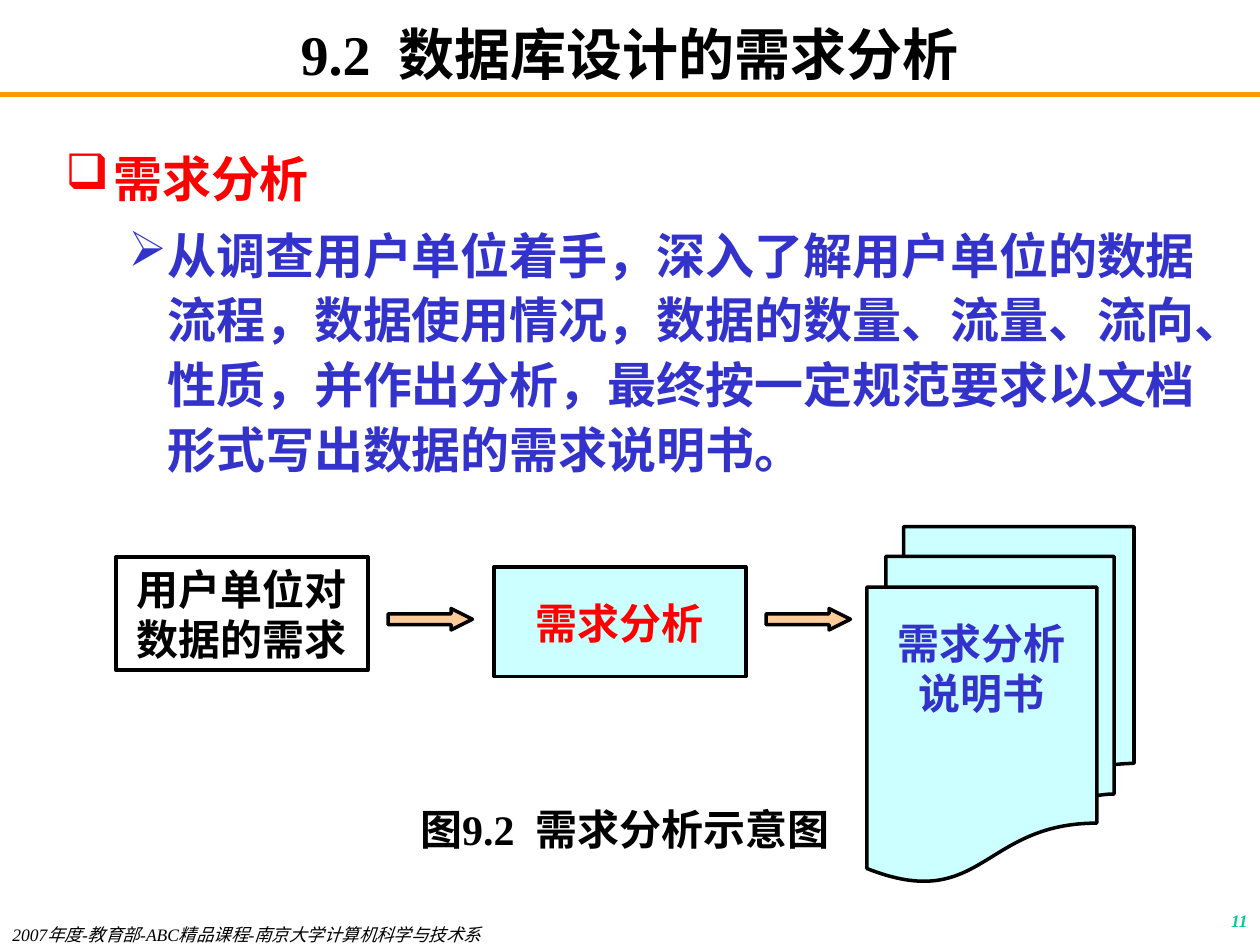
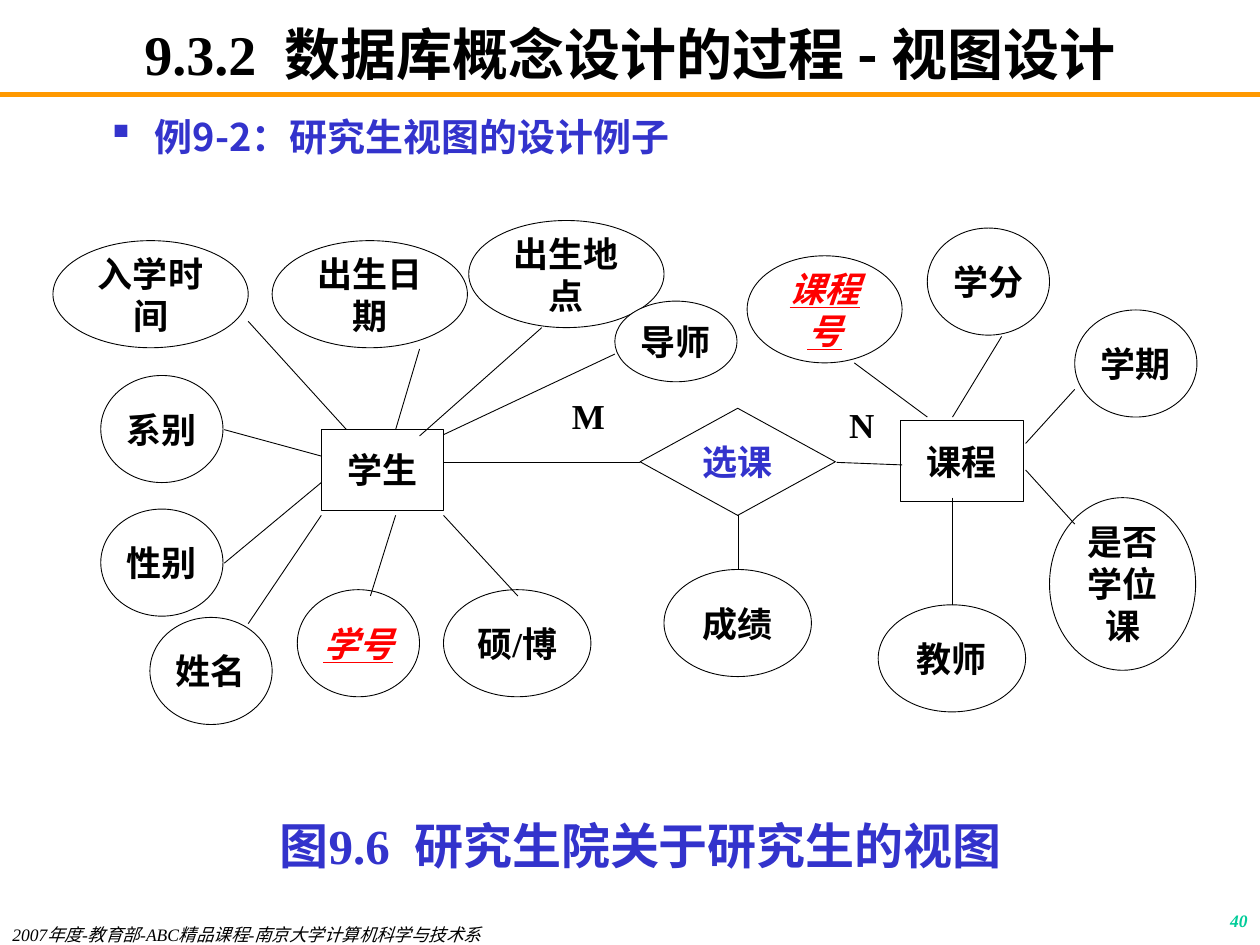
from lxml import etree
from pptx import Presentation
from pptx import util as u
from pptx.dml.color import RGBColor
from pptx.enum import shapes as kinds, text as t
from pptx.oxml.ns import qn

LATIN, CHINESE = "Times New Roman", "Noto Sans CJK SC"
BLACK, WHITE, RED, BLUE = "000000", "FFFFFF", "FF0000", "3333CC"
ORANGE, GREEN, CYAN, PEACH = "FF9900", "00CC99", "CCFFFF", "FFCC99"
CENTER, RIGHT, LEFT = t.PP_ALIGN.CENTER, t.PP_ALIGN.RIGHT, t.PP_ALIGN.LEFT
SHAPE = kinds.MSO_SHAPE


def add_box(shapes, kind, box, fill=WHITE, width=2, insets=(0.1, 0.05), middle=False):
    """Add a preset shape, or a plain text box when kind is None."""
    box = [u.Inches(length) for length in box]
    if kind is None:
        shape = shapes.add_textbox(*box)
    else:
        shape = shapes.add_shape(kind, *box)
        shape.shadow.inherit = False
        shape.fill.solid()
        shape.fill.fore_color.rgb = RGBColor.from_string(fill)
        shape.line.color.rgb = RGBColor.from_string(BLACK)
        shape.line.width = u.Pt(width)
    frame = shape.text_frame
    frame.word_wrap = True
    frame.margin_left = frame.margin_right = u.Inches(insets[0])
    frame.margin_top = frame.margin_bottom = u.Inches(insets[1])
    frame.vertical_anchor = t.MSO_ANCHOR.MIDDLE if middle else t.MSO_ANCHOR.TOP
    return shape


def write(paragraph, runs, size, color=BLACK, align=CENTER, bold=True, italic=False, underline=False):
    """Fill a paragraph with (text, font) runs that share one style."""
    paragraph.alignment = align
    for words, font_name in runs:
        run = paragraph.add_run()
        run.text = words
        font = run.font
        font.name, font.size = font_name, u.Pt(size)
        font.bold, font.italic, font.underline = bold, italic, underline
        font.color.rgb = RGBColor.from_string(color)
        run.font._element.find(qn("a:latin")).addnext(
            etree.Element(qn("a:ea"), typeface=CHINESE))


presentation = Presentation()
presentation.slide_width, presentation.slide_height = u.Inches(10), u.Inches(7.5)

# Shared title, rule and footers
lines = []  # (shapes, colour, width, ends)
slides = []
for number, title, page in [
    ("9.2  ", "数据库设计的需求分析", "11"),
    ("9.3.2  ", "数据库概念设计的过程 - 视图设计", "40"),
]:
    slide = presentation.slides.add_slide(presentation.slide_layouts[6])
    slides.append(slide)
    lines.append((slide.shapes, ORANGE, 3, (0, 0.75, 10, 0.75)))
    heading = add_box(slide.shapes, None, (0.75, 0.17, 8.5, 0.5), insets=(0.1, 0), middle=True)
    write(heading.text_frame.paragraphs[0], [(number, LATIN), (title, CHINESE)], 32)
    page_box = add_box(slide.shapes, None, (7.92, 7.17, 2.08, 0.33))
    write(page_box.text_frame.paragraphs[0], [(page, LATIN)], 10, GREEN, RIGHT, italic=True)
    footer = add_box(slide.shapes, None, (0, 7.33, 5.5, 0.17), insets=(0.1, 0))
    write(footer.text_frame.paragraphs[0],
          [("2007年度-教育部-ABC精品课程-南京大学计算机科学与技术系", LATIN)],
          10, align=LEFT, bold=False, italic=True)
analysis, view = slides

# Bulleted text of both slides
body = add_box(analysis.shapes, None, (0.42, 1.08, 9.25, 2.92)).text_frame
example = add_box(view.shapes, None, (0.75, 0.92, 8.5, 0.5)).text_frame
description = ("从调查用户单位着手，深入了解用户单位的数据流程，数据使用情况，数据的数量、流量、流向、性质，"
               "并作出分析，最终按一定规范要求以文档形式写出数据的需求说明书")
for paragraph, runs, size, color, bullet, margin, indent, spacing in [
    (body.paragraphs[0], [("需求分析", CHINESE)], 28, RED, "❑", 0.38, -0.38, 1.1),
    (body.add_paragraph(), [(description, CHINESE), ("。", LATIN)], 28, BLUE, "➢", 0.81, -0.31, 1.1),
    (example.paragraphs[0], [("例9-2：研究生视图的设计例子", CHINESE)], 21.7, BLUE, "▪", 0.38, -0.38, 0.8),
]:
    write(paragraph, runs, size, color, LEFT)
    paragraph.line_spacing = spacing
    paragraph.space_before = u.Pt(7)
    properties = paragraph._p.get_or_add_pPr()
    properties.set("marL", str(u.Inches(margin)))
    properties.set("indent", str(u.Inches(indent)))
    bullet_color = etree.SubElement(properties, qn("a:buClr"))
    etree.SubElement(bullet_color, qn("a:srgbClr"), val=color)
    etree.SubElement(properties, qn("a:buChar"), char=bullet)

# Requirements analysis flow
for kind, box, fill, inset, words, color in [
    (SHAPE.RECTANGLE, (0.92, 4.42, 2, 0.9), WHITE, 0.05, "用户单位对数据的需求", BLACK),
    (SHAPE.RECTANGLE, (3.92, 4.5, 2, 0.87), CYAN, 0.24, "需求分析", RED),
    (SHAPE.FLOWCHART_MULTIDOCUMENT, (6.88, 4.18, 2.12, 2.82), CYAN, 0.24, "需求分析说明书", BLUE),
]:
    step = add_box(analysis.shapes, kind, box, fill, insets=(0.1, inset))
    write(step.text_frame.paragraphs[0], [(words, LATIN)], 24, color)
for left in (3.08, 6.08):
    arrow = add_box(analysis.shapes, SHAPE.RIGHT_ARROW, (left, 4.83, 0.67, 0.17), PEACH)
    arrow.adjustments[0], arrow.adjustments[1] = 0.5, 1

# Figure captions
for slide, box, number, words, size, color in [
    (analysis, (0.92, 6.33, 8.08, 0.5), "图9.2  ", "需求分析示意图", 24, BLACK),
    (view, (1.17, 6.42, 7.83, 0.57), "图9.6  ", "研究生院关于研究生的视图", 28, BLUE),
]:
    caption = add_box(slide.shapes, None, box)
    write(caption.text_frame.paragraphs[0], [(number, LATIN), (words, CHINESE)], size, color)

# Entity-relationship diagram
diagram = view.shapes.add_group_shape().shapes
for kind, words, box in [
    (None, "M", (4.28, 2.98, 0.78, 0.64)),
    (None, "N", (6.55, 3.05, 0.58, 0.64)),
    (SHAPE.RECTANGLE, "学生", (2.55, 3.41, 0.97, 0.64)),
    (SHAPE.RECTANGLE, "课程", (7.15, 3.34, 0.97, 0.64)),
    (SHAPE.DIAMOND, "选课", (5.08, 3.24, 1.55, 0.85)),
    (SHAPE.OVAL, "教师", (6.97, 4.8, 1.17, 0.85)),
    (SHAPE.OVAL, "是否学位课", (8.33, 3.95, 1.16, 1.37)),
    (SHAPE.OVAL, "学期", (8.53, 2.46, 0.97, 0.85)),
    (SHAPE.OVAL, "成绩", (5.27, 4.52, 1.17, 0.85)),
    (SHAPE.OVAL, "课程号", (5.93, 2.03, 1.23, 0.85)),
    (SHAPE.OVAL, "学分", (7.36, 1.81, 0.97, 0.85)),
    (SHAPE.OVAL, "学号", (2.36, 4.68, 0.97, 0.85)),
    (SHAPE.OVAL, "硕/博", (3.52, 4.68, 1.17, 0.85)),
    (SHAPE.OVAL, "出生地点", (3.72, 1.75, 1.55, 0.85)),
    (SHAPE.OVAL, "系别", (0.8, 2.98, 0.97, 0.85)),
    (SHAPE.OVAL, "入学时间", (0.42, 1.91, 1.55, 0.85)),
    (SHAPE.OVAL, "出生日期", (2.16, 1.91, 1.55, 0.85)),
    (SHAPE.OVAL, "姓名", (1.19, 4.9, 0.97, 0.85)),
    (SHAPE.OVAL, "性别", (0.8, 4.04, 0.97, 0.85)),
    (SHAPE.OVAL, "导师", (4.88, 2.39, 0.97, 0.64)),
]:
    is_key = words in ("学号", "课程号")
    color = RED if is_key else BLUE if kind == SHAPE.DIAMOND else BLACK
    node = add_box(diagram, kind, box, width=0.5, insets=(0.06, 0.01), middle=True)
    write(node.text_frame.paragraphs[0], [(words, LATIN)], 20, color, italic=is_key, underline=is_key)

student_links = [
    (3.52, 3.67, 5.08, 3.67), (3.52, 4.09, 4.11, 4.73), (3.14, 3.41, 3.33, 2.77),
    (2.75, 3.41, 1.97, 2.55), (2.55, 3.62, 1.78, 3.41), (2.55, 3.83, 1.78, 4.47),
    (2.55, 4.09, 1.97, 4.95), (3.14, 4.09, 2.94, 4.73), (3.52, 3.45, 4.88, 2.81),
    (3.33, 3.46, 4.3, 2.6),
]
course_links = [
    (7.16, 3.69, 6.64, 3.67), (7.56, 3.95, 7.56, 4.8), (8.14, 3.52, 8.53, 3.09),
    (8.14, 3.73, 8.53, 4.16), (7.56, 3.31, 7.95, 2.67), (7.36, 3.31, 6.78, 2.88),
]
grade_link = (5.86, 4.09, 5.86, 4.52)
lines += [(diagram, BLACK, 0.5, ends) for ends in student_links + course_links + [grade_link]]

for shapes, color, width, ends in lines:
    connector = shapes.add_connector(kinds.MSO_CONNECTOR.STRAIGHT, *[u.Inches(end) for end in ends])
    connector.line.color.rgb = RGBColor.from_string(color)
    connector.line.width = u.Pt(width)
    etree.SubElement(connector._element.spPr, qn("a:effectLst"))

presentation.save("out.pptx")
